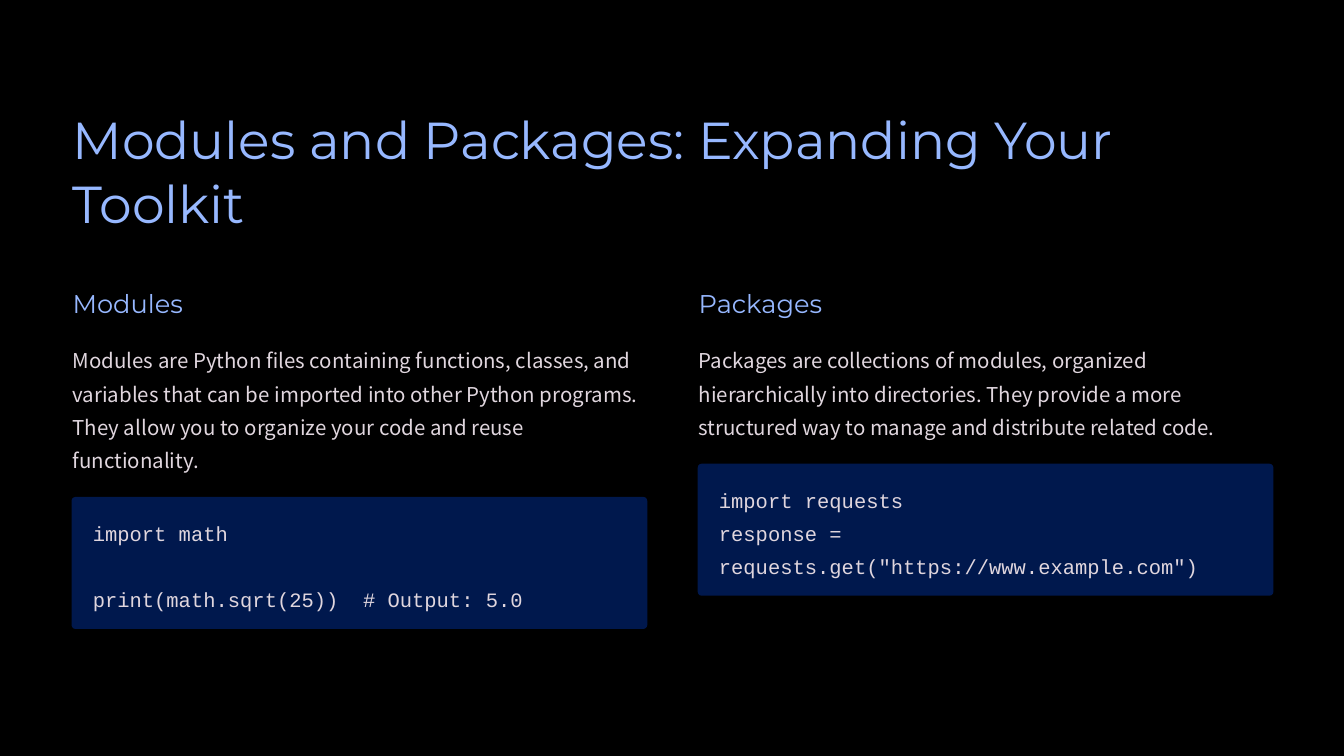
import pptx
import pptx.dml.color
import pptx.enum.shapes
import pptx.enum.text
import pptx.util

RGBColor = pptx.dml.color.RGBColor
BLACK = RGBColor(0x00, 0x00, 0x00)
SKY = RGBColor(0x97, 0xB8, 0xFF)
PALE = RGBColor(0xE0, 0xD6, 0xDE)
NAVY = RGBColor(0x00, 0x18, 0x4D)

WIDTH, HEIGHT = 13.33, 7.5
MARGIN = 0.72
COLUMN_WIDTH, COLUMN_STEP = 5.69, 6.21
HEADING_TOP, BODY_TOP = 2.84, 3.37
LINE = 0.33  # height of one line of body text or code
PANEL_GAP, PANEL_HEIGHT = 0.24, 1.31
CODE_INSET, CODE_DROP = 0.2, 0.15

# Heading, description, lines the description fills, code as (line, blank lines before)
TOPICS = [
    ("Modules",
     "Modules are Python files containing functions, classes, and variables that can be "
     "imported into other Python programs. They allow you to organize your code and reuse "
     "functionality.",
     4,
     [("import math", 0), ("print(math.sqrt(25))  # Output: 5.0", 1)]),
    ("Packages",
     "Packages are collections of modules, organized hierarchically into directories. They "
     "provide a more structured way to manage and distribute related code.",
     3,
     [("import requests", 0), ('response = requests.get("https://www.example.com")', 0)]),
]


class TopicSlide:
    """Style and current page; lengths are in inches on the column grid."""

    # Font name, size, line spacing and colour of each kind of text
    styles = {
        "title": ("Montserrat", 37.1, 46.2, SKY),
        "heading": ("Montserrat", 18.3, 22.9, SKY),
        "body": ("Noto Sans CJK TC", 14.6, 23.8, PALE),
        "code": ("Courier New", 14.6, 23.8, PALE),
    }

    def __init__(self, deck):
        self.page = deck.slides.add_slide(deck.slide_layouts[6])
        self.page.background.fill.solid()
        self.page.background.fill.fore_color.rgb = BLACK

    def text(self, style, lines, left, top, width, height, wrap=True):
        """Write lines given as (wording, blank lines before)."""
        font_name, size, spacing, colour = self.styles[style]
        box = self.page.shapes.add_textbox(*map(pptx.util.Inches, (left, top, width, height)))
        frame = box.text_frame
        frame.word_wrap = wrap
        frame.auto_size = pptx.enum.text.MSO_AUTO_SIZE.NONE
        frame.margin_left = frame.margin_top = frame.margin_right = frame.margin_bottom = 0
        for index, (wording, blank_lines) in enumerate(lines):
            para = frame.add_paragraph() if index else frame.paragraphs[0]
            para.text = wording
            para.line_spacing = pptx.util.Pt(spacing)
            if blank_lines:
                para.space_before = pptx.util.Pt(spacing * blank_lines)
            para.font.name = font_name
            para.font.size = pptx.util.Pt(size)
            para.font.color.rgb = colour

    def panel(self, left, top, width, height):
        panel = self.page.shapes.add_shape(
            pptx.enum.shapes.MSO_SHAPE.ROUNDED_RECTANGLE,
            *map(pptx.util.Inches, (left, top, width, height)))
        panel.adjustments[0] = 0.03
        panel.shadow.inherit = False
        panel.fill.solid()
        panel.fill.fore_color.rgb = NAVY
        panel.line.fill.background()

    def topic(self, column, heading, description, line_count, code):
        left = MARGIN + column * COLUMN_STEP
        body_height = line_count * LINE
        panel_top = BODY_TOP + body_height + PANEL_GAP
        self.text("heading", [(heading, 0)], left, HEADING_TOP, 2.58, 0.32, wrap=False)
        self.text("body", [(description, 0)], left, BODY_TOP, COLUMN_WIDTH, body_height)
        self.panel(left - 0.01, panel_top, COLUMN_WIDTH + 0.02, PANEL_HEIGHT)
        self.text("code", code, left + CODE_INSET, panel_top + CODE_DROP,
                  COLUMN_WIDTH - 2 * CODE_INSET, 3 * LINE)


def main():
    deck = pptx.Presentation()
    deck.slide_width = pptx.util.Inches(WIDTH)
    deck.slide_height = pptx.util.Inches(HEIGHT)
    slide = TopicSlide(deck)
    slide.text("title", [("Modules and Packages: Expanding Your Toolkit", 0)],
               MARGIN, 1.04, WIDTH - 2 * MARGIN, 1.29)
    for column, topic in enumerate(TOPICS):
        slide.topic(column, *topic)
    deck.save("out.pptx")


if __name__ == "__main__":
    main()
